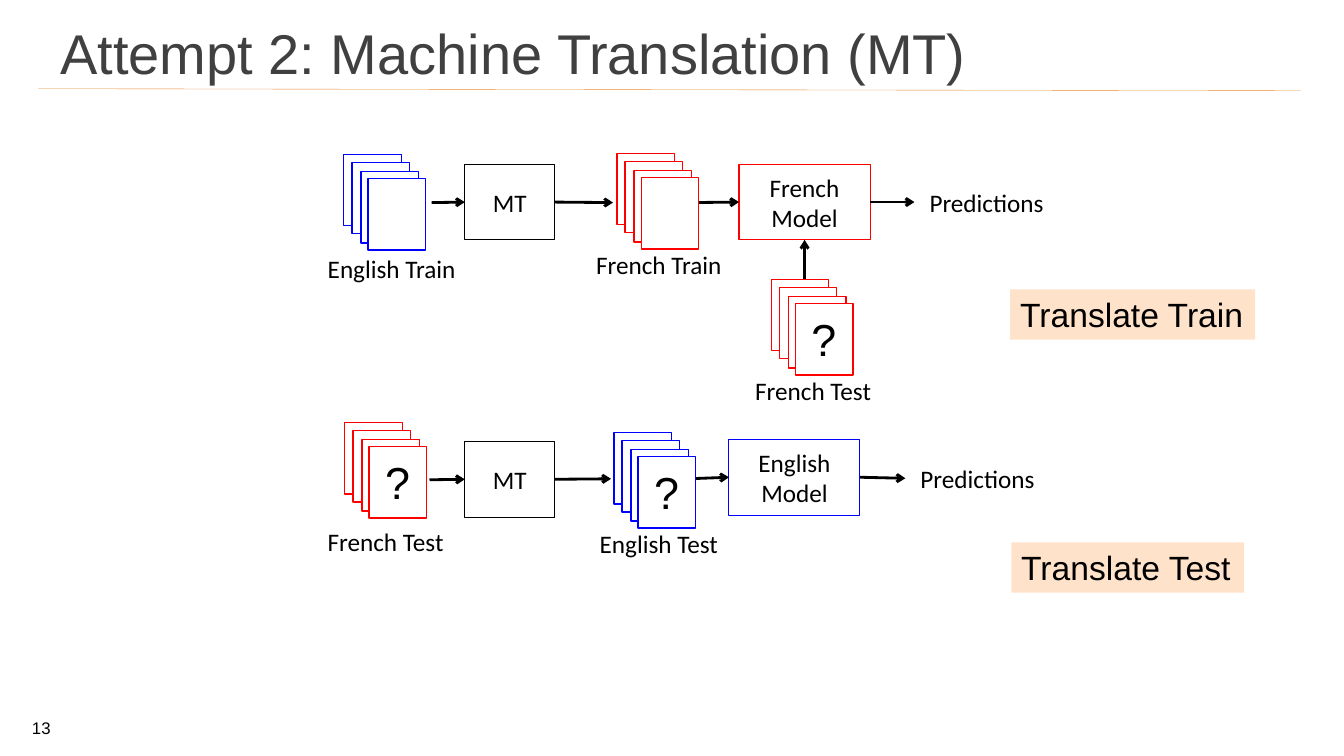
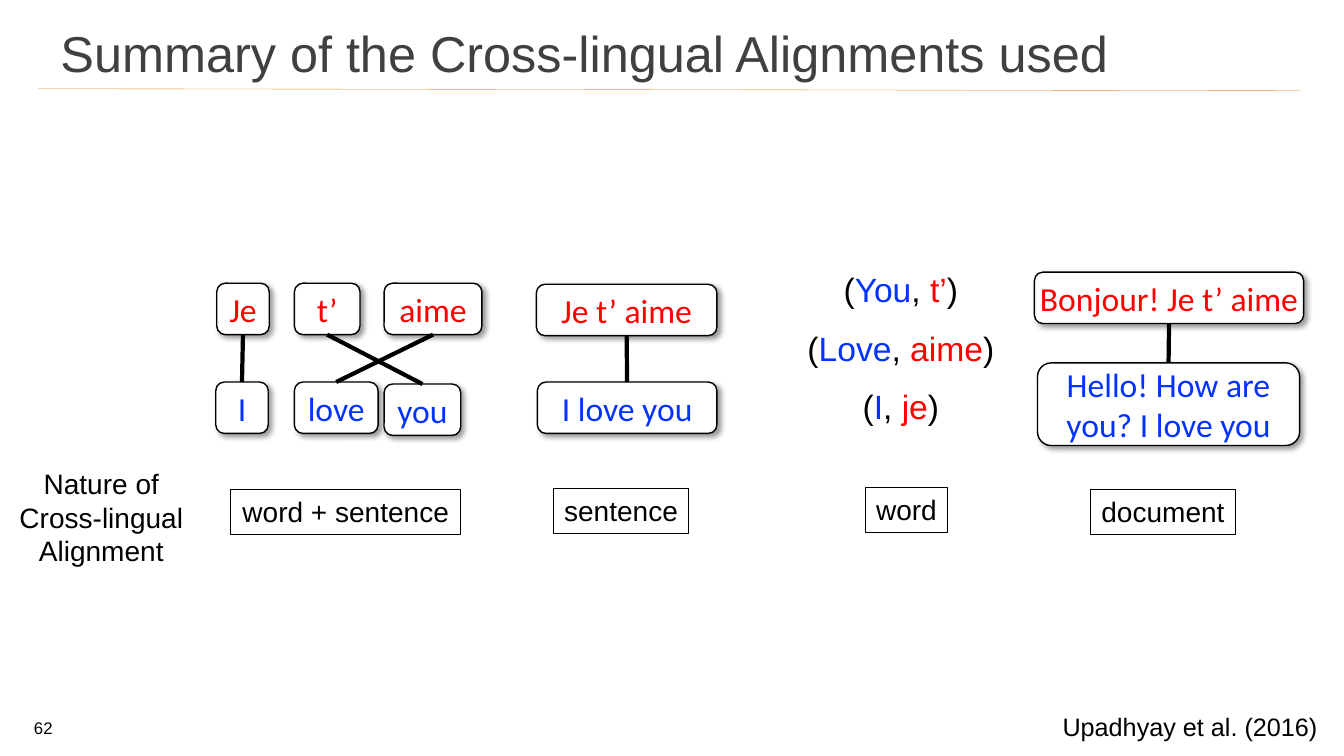
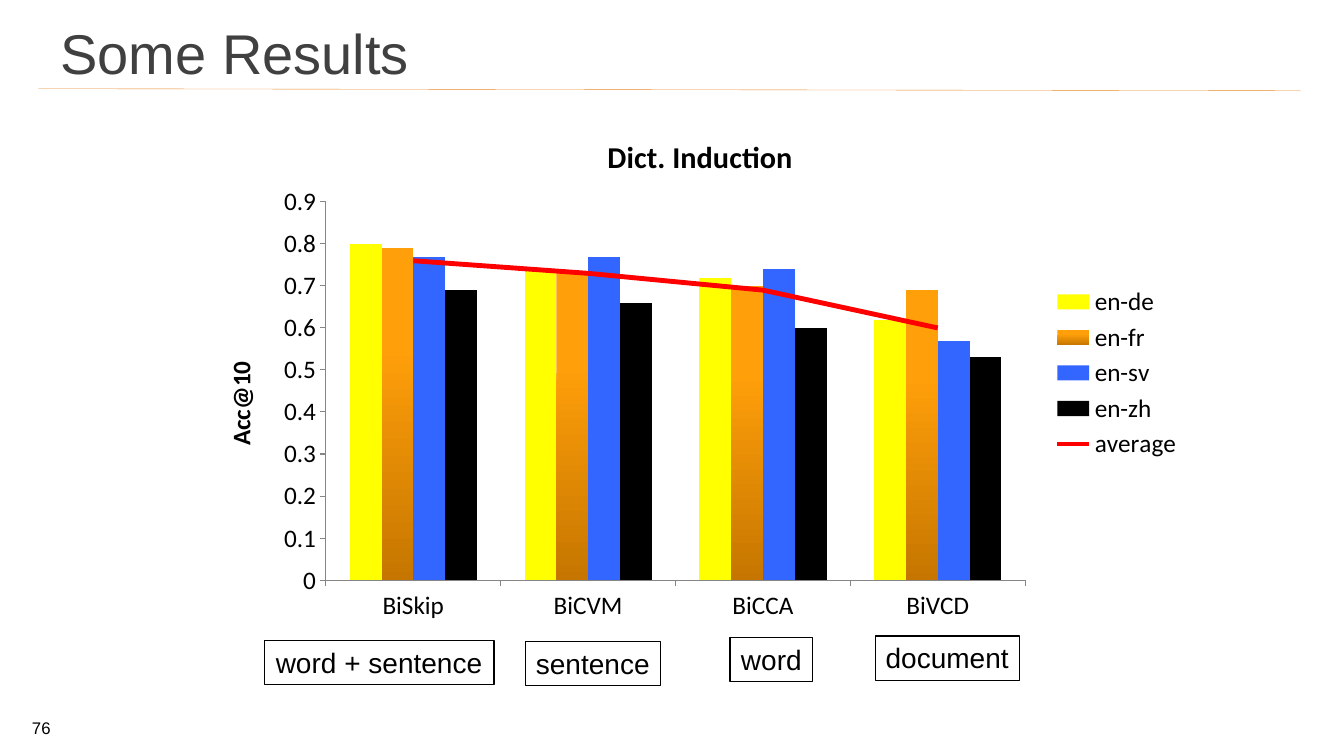
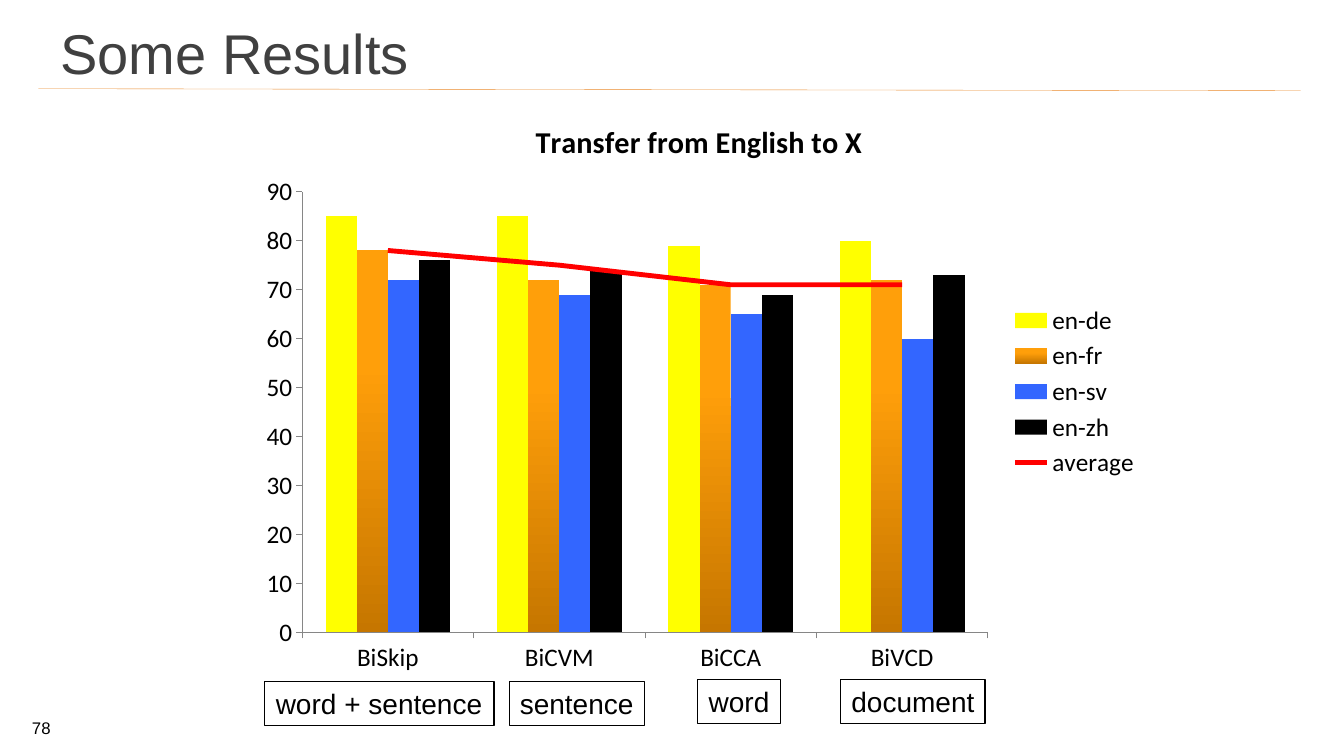
from copy import deepcopy
from lxml.etree import SubElement
from pptx import Presentation
from pptx.chart.data import CategoryChartData
from pptx.dml.color import RGBColor
from pptx.enum.chart import XL_CHART_TYPE, XL_LEGEND_POSITION, XL_MARKER_STYLE, XL_TICK_MARK
from pptx.enum.shapes import MSO_CONNECTOR, MSO_SHAPE
from pptx.enum.text import MSO_ANCHOR, MSO_AUTO_SIZE, PP_ALIGN
from pptx.oxml import parse_xml
from pptx.oxml.ns import nsdecls, qn
from pptx.util import Inches, Pt

C = {"black": "000000", "white": "FFFFFF", "title": "404040", "rule": "EA8A2A",
     "red": "FF0000", "blue": "0000FF", "word": "0432FF", "peach": "FFE2CA",
     "yellow": "FFFF00", "orange": "FF9F0A", "brown": "C67600", "sky": "3366FF",
     "axis": "868686"}
SITES = [(0.5, 0), (0, 0.5), (0.5, 1), (1, 0.5)]

MT_BOXES = {
    "train mt": ((4.61, 1.63, 0.89, 0.75), ["MT"], "black"),
    "train model": ((7.33, 1.63, 1.3, 0.75), ["French", "Model"], "red"),
    "train out": ((9.07, 1.63, 1.43, 0.75), ["Predictions"], None),
    "test mt": ((4.61, 4.38, 0.89, 0.75), ["MT"], "black"),
    "test model": ((7.23, 4.36, 1.3, 0.75), ["English", "Model"], "blue"),
    "test out": ((8.98, 4.37, 1.43, 0.75), ["Predictions"], None),
}
MT_ARROWS = [
    ((4.28, 2.01), ("train mt", 1)), (("train mt", 3), (6.08, 2.01)),
    ((6.84, 2.01), ("train model", 1)), (("train model", 3), ("train out", 1)),
    ((7.98, 2.77), ("train model", 2)),
    ((4.26, 4.76), ("test mt", 1)), (("test mt", 3), (6.06, 4.75)),
    ((6.82, 4.75), ("test model", 1)), (("test model", 3), ("test out", 1)),
]
STACKS = [
    (3.41, 1.53, "blue", False, "English Train", (3.1, 2.45, 1.57, 0.42)),
    (6.12, 1.52, "red", False, "French Train", (5.75, 2.43, 1.57, 0.38)),
    (3.42, 4.19, "red", True, "French Test", (3.11, 5.16, 1.43, 0.42)),
    (6.09, 4.29, "blue", True, "English Test", (5.82, 5.18, 1.43, 0.42)),
    (7.65, 2.77, "red", True, "French Test", (7.35, 3.66, 1.43, 0.42)),
]
STACK_STEPS = [0, 0.08, 0.17, 0.24]
BANNERS = [("Translate Train", (10.02, 2.87, 2.43, 0.5)),
           ("Translate Test", (10.03, 5.38, 2.31, 0.5))]

ALIGNED = [
    ([("Je", "red", (2.15, 2.81, 0.52, 0.51)), ("t’", "red", (2.92, 2.81, 0.65, 0.51)),
      ("aime", "red", (3.81, 2.81, 0.97, 0.51)), ("I", "word", (2.14, 3.79, 0.52, 0.51)),
      ("love", "word", (2.92, 3.79, 0.83, 0.51)), ("you", "word", (3.81, 3.81, 0.76, 0.51))],
     [(0, 3), (2, 4), (1, 5)]),
    ([("Je t’ aime", "red", (5.32, 2.82, 1.79, 0.51)),
      ("I love you", "word", (5.33, 3.79, 1.78, 0.51))], [(0, 1)]),
    ([("Bonjour! Je t’ aime", "red", (10.26, 2.7, 2.67, 0.51)),
      ("Hello! How are you? I love you", "word", (10.29, 3.6, 2.6, 0.82))], [(0, 1)]),
]
PAIRS = [("You", "t’"), ("Love", "aime"), ("I", "je")]
TAGS = [("word + sentence", 2.28), ("sentence", 1.34), ("word", 0.82), ("document", 1.43)]

CATEGORIES = ["BiSkip", "BiCVM", "BiCCA", "BiVCD"]
SERIES = {"en-de": "yellow", "en-fr": "orange", "en-sv": "sky", "en-zh": "black",
          "average": "red"}
RESULTS = [
    dict(number=76, title="Dict. Induction", axis="Acc@10", top=0.9, step=0.1,
         at=(2.06, 1.13, 9.77, 5.14), plot=(0.12, 0.17, 0.71, 0.73),
         values=[[0.8, 0.74, 0.72, 0.62], [0.79, 0.73, 0.7, 0.69], [0.77, 0.77, 0.74, 0.57],
                 [0.69, 0.66, 0.6, 0.53], [0.76, 0.73, 0.69, 0.6]],
         tags=[(2.62, 6.35), (5.21, 6.36), (7.24, 6.32), (8.68, 6.31)]),
    dict(number=78, title="Transfer from English to X", axis=None, top=90, step=10,
         at=(2.46, 0.97, 8.95, 5.83), plot=(0.06, 0.16, 0.76, 0.75),
         values=[[85, 85, 79, 80], [78, 72, 71, 72], [72, 69, 65, 60],
                 [76, 74, 69, 73], [78, 75, 71, 71]],
         tags=[(2.62, 6.76), (5.05, 6.76), (6.92, 6.74), (8.34, 6.74)]),
]


def rgb(name):
    return RGBColor.from_string(C[name])


def place(at):
    return [Inches(v) for v in at]


def write(tf, paras, size=18, font="Arial", color="black", bold=False, align=PP_ALIGN.CENTER,
          gap=0):
    for i, runs in enumerate(paras):
        p = tf.paragraphs[0] if i == 0 else tf.add_paragraph()
        p.alignment = align
        if i and gap:
            p.space_before = Pt(gap)
        for text, tint in [(runs, color)] if isinstance(runs, str) else runs:
            r = p.add_run()
            r.text = text
            r.font.size, r.font.name, r.font.bold = Pt(size), font, bold
            r.font.color.rgb = rgb(tint)


def box(shapes, at, paras=(), kind=MSO_SHAPE.RECTANGLE, fill=None, line=None, width=0.75,
        anchor=MSO_ANCHOR.MIDDLE, wrap=True, grow=False, shadow=False, side=0.1, **fmt):
    if kind is None:
        sp = shapes.add_textbox(*place(at))
    else:
        sp = shapes.add_shape(kind, *place(at))
        if fill:
            sp.fill.solid()
            sp.fill.fore_color.rgb = rgb(fill)
        else:
            sp.fill.background()
        if line:
            sp.line.color.rgb = rgb(line)
            sp.line.width = Pt(width)
        else:
            sp.line.fill.background()
        sp.shadow.inherit = False
    if shadow:
        sp.element.spPr.find(qn("a:effectLst")).append(parse_xml(
            f'<a:outerShdw {nsdecls("a")} blurRad="50800" dist="38100" dir="2700000" '
            'algn="tl" rotWithShape="0"><a:srgbClr val="000000"><a:alpha val="40000"/>'
            '</a:srgbClr></a:outerShdw>'))
    tf = sp.text_frame
    tf.word_wrap = wrap
    tf.vertical_anchor = anchor
    tf.margin_left = tf.margin_right = Inches(side)
    if grow:
        tf.auto_size = MSO_AUTO_SIZE.SHAPE_TO_FIT_TEXT
    write(tf, paras, **fmt)
    return sp


def link(shapes, start, end, color="black", width=2, arrow=False):
    points = []
    for a, b in (start, end):
        if isinstance(a, (int, float)):
            points += [Inches(a), Inches(b)]
        else:
            fx, fy = SITES[b]
            points += [int(a.left + fx * a.width), int(a.top + fy * a.height)]
    cxn = shapes.add_connector(MSO_CONNECTOR.STRAIGHT, *points)
    cxn.line.color.rgb = rgb(color)
    cxn.line.width = Pt(width)
    for (shape, site), connect in ((start, cxn.begin_connect), (end, cxn.end_connect)):
        if not isinstance(shape, (int, float)):
            connect(shape, site)
    spPr = cxn.element.spPr
    if arrow:
        SubElement(spPr.find(qn("a:ln")), qn("a:tailEnd"), type="arrow")
    SubElement(spPr, qn("a:effectLst"))
    return cxn


def add_slide(prs, title, number, size=40, left=0.13):
    s = prs.slides.add_slide(prs.slide_layouts[5])
    s.shapes.title.text_frame.vertical_anchor = MSO_ANCHOR.MIDDLE
    write(s.shapes.title.text_frame, [title], size=size, color="title", align=PP_ALIGN.LEFT)
    box(s.shapes, (left, 7.12, 0.56, 0.25), [str(number)], kind=None,
        anchor=MSO_ANCHOR.BOTTOM, size=12)
    return s


def add_tags(s, spots):
    for (text, width), (left, top) in zip(TAGS, spots):
        box(s.shapes, (left, top, width, 0.44), [text], line="black", wrap=False, grow=True,
            anchor=MSO_ANCHOR.TOP, size=20)


def add_stack(s, left, top, color, unknown):
    group = s.shapes.add_group_shape()
    for step in STACK_STEPS:
        box(group.shapes, (left + step, top + step, 0.57, 0.71), fill="white", line=color,
            width=1)
    if unknown:
        box(group.shapes, (left + 0.3, top + 0.27, 0.45, 0.64), ["?"], kind=None, wrap=False,
            grow=True, anchor=MSO_ANCHOR.TOP, size=32, align=PP_ALIGN.LEFT)


def translation_slide(prs):
    s = add_slide(prs, "Attempt 2: Machine Translation (MT)", 13)
    boxes = {name: box(s.shapes, at, paras, kind=MSO_SHAPE.RECTANGLE if line else None,
                       line=line, font="Calibri")
             for name, (at, paras, line) in MT_BOXES.items()}
    for ends in MT_ARROWS:
        link(s.shapes, *[(boxes.get(a, a), b) for a, b in ends], arrow=True)
    for left, top, color, unknown, label, at in STACKS:
        add_stack(s, left, top, color, unknown)
        box(s.shapes, at, [label], kind=None, font="Calibri")
    for text, at in BANNERS:
        box(s.shapes, at, [text], fill="peach", wrap=False, grow=True,
            anchor=MSO_ANCHOR.TOP, size=24, align=PP_ALIGN.LEFT)
    return s


def alignment_slide(prs):
    s = add_slide(prs, "Summary of the Cross-lingual Alignments used", 62, size=36, left=0.15)
    for nodes, links in ALIGNED:
        shapes = s.shapes.add_group_shape().shapes
        cards = [box(shapes, at, [text], kind=MSO_SHAPE.ROUNDED_RECTANGLE, fill="white",
                     line="black", width=1, shadow=True, size=24, font="Calibri", color=color,
                     side=0 if text.startswith("Bonjour") else 0.1)
                 for text, color, at in nodes]
        for upper, lower in links:
            link(shapes, (cards[upper], 2), (cards[lower], 0), width=3)
    pairs = [[("(", "black"), (en, "word"), (", ", "black"), (fr, "red"), (")", "black")]
             for en, fr in PAIRS]
    box(s.shapes, (7.9, 2.62, 2.07, 2.1), pairs, kind=None, wrap=False,
        anchor=MSO_ANCHOR.TOP, size=24, gap=13)
    add_tags(s, [(2.29, 4.86), (5.49, 4.85), (8.58, 4.84), (10.82, 4.86)])
    box(s.shapes, (0.07, 4.58, 1.87, 1.11), ["Nature of Cross-lingual Alignment"], kind=None,
        grow=True, anchor=MSO_ANCHOR.TOP, size=20)
    box(s.shapes, (10.44, 7.01, 2.76, 0.4), ["Upadhyay et al. (2016)"], kind=None, wrap=False,
        grow=True, anchor=MSO_ANCHOR.TOP, align=PP_ALIGN.LEFT)


def last_series_to_line(chart):
    bar = chart.element.find(".//" + qn("c:barChart"))
    ser = bar.findall(qn("c:ser"))[-1]
    for flag in ser.findall(qn("c:invertIfNegative")):
        ser.remove(flag)
    line = parse_xml(f'<c:lineChart {nsdecls("c")}><c:grouping val="standard"/>'
                     '<c:varyColors val="0"/><c:marker val="1"/></c:lineChart>')
    line.insert(2, ser)
    for axis in bar.findall(qn("c:axId")):
        line.append(deepcopy(axis))
    bar.addnext(line)


def set_plot_area(chart, shares):
    area = chart.element.find(".//" + qn("c:plotArea"))
    for old in area.findall(qn("c:layout")):
        area.remove(old)
    sizes = "".join(f'<c:{k} val="{v}"/>' for k, v in zip("xywh", shares))
    area.insert(0, parse_xml(
        f'<c:layout {nsdecls("c")}><c:manualLayout><c:layoutTarget val="inner"/>'
        f'<c:xMode val="edge"/><c:yMode val="edge"/>{sizes}</c:manualLayout></c:layout>'))


def results_slide(prs, number, title, axis, top, step, at, plot, values, tags):
    s = add_slide(prs, "Some Results", number)
    data = CategoryChartData(number_format="General")
    data.categories = CATEGORIES
    for name, vals in zip(SERIES, values):
        data.add_series(name, vals)
    chart = s.shapes.add_chart(XL_CHART_TYPE.COLUMN_CLUSTERED, *place(at), data).chart
    chart.font.size, chart.font.name = Pt(18), "Calibri"
    chart.font.color.rgb = rgb("black")
    chart.has_title = True
    write(chart.chart_title.text_frame, [title], size=21.6, font="Calibri", bold=True)
    chart.has_legend = True
    chart.legend.position = XL_LEGEND_POSITION.RIGHT
    chart.legend.include_in_layout = False
    va = chart.value_axis
    va.minimum_scale, va.maximum_scale, va.major_unit = 0, top, step
    va.has_major_gridlines = False
    if axis:
        write(va.axis_title.text_frame, [axis], font="Calibri", bold=True)
    for ax in (va, chart.category_axis):
        ax.major_tick_mark = XL_TICK_MARK.OUTSIDE
        ax.format.line.color.rgb = rgb("axis")
        ax.format.line.width = Pt(0.75)
    last_series_to_line(chart)
    set_plot_area(chart, plot)
    columns, trend = chart.plots
    columns.gap_width, columns.overlap, columns.vary_by_categories = 150, 0, False
    for ser in columns.series:
        fill = ser.format.fill
        if ser.name == "en-fr":
            fill.gradient()
            fill.gradient_angle = 270
            for stop, pos, color in zip(fill.gradient_stops, (0.3, 1), ("orange", "brown")):
                stop.position = pos
                stop.color.rgb = rgb(color)
        else:
            fill.solid()
            fill.fore_color.rgb = rgb(SERIES[ser.name])
    average = trend.series[0]
    average.smooth = False
    average.marker.style = XL_MARKER_STYLE.NONE
    average.format.line.color.rgb = rgb(SERIES["average"])
    average.format.line.width = Pt(3.5)
    add_tags(s, tags)


def main():
    prs = Presentation()
    prs.slide_width, prs.slide_height = Inches(13.33), Inches(7.5)
    layout = prs.slide_layouts[5]
    title = layout.placeholders[0]
    title.left, title.top, title.width, title.height = place((0.5, 0.23, 11.59, 0.58))
    s = translation_slide(prs)
    rule = link(s.shapes, (0.38, 0.88), (12.9, 0.9), color="rule", width=0.25)
    layout.shapes.element.append(rule.element)
    alignment_slide(prs)
    for result in RESULTS:
        results_slide(prs, **result)
    prs.save("out.pptx")


if __name__ == "__main__":
    main()
